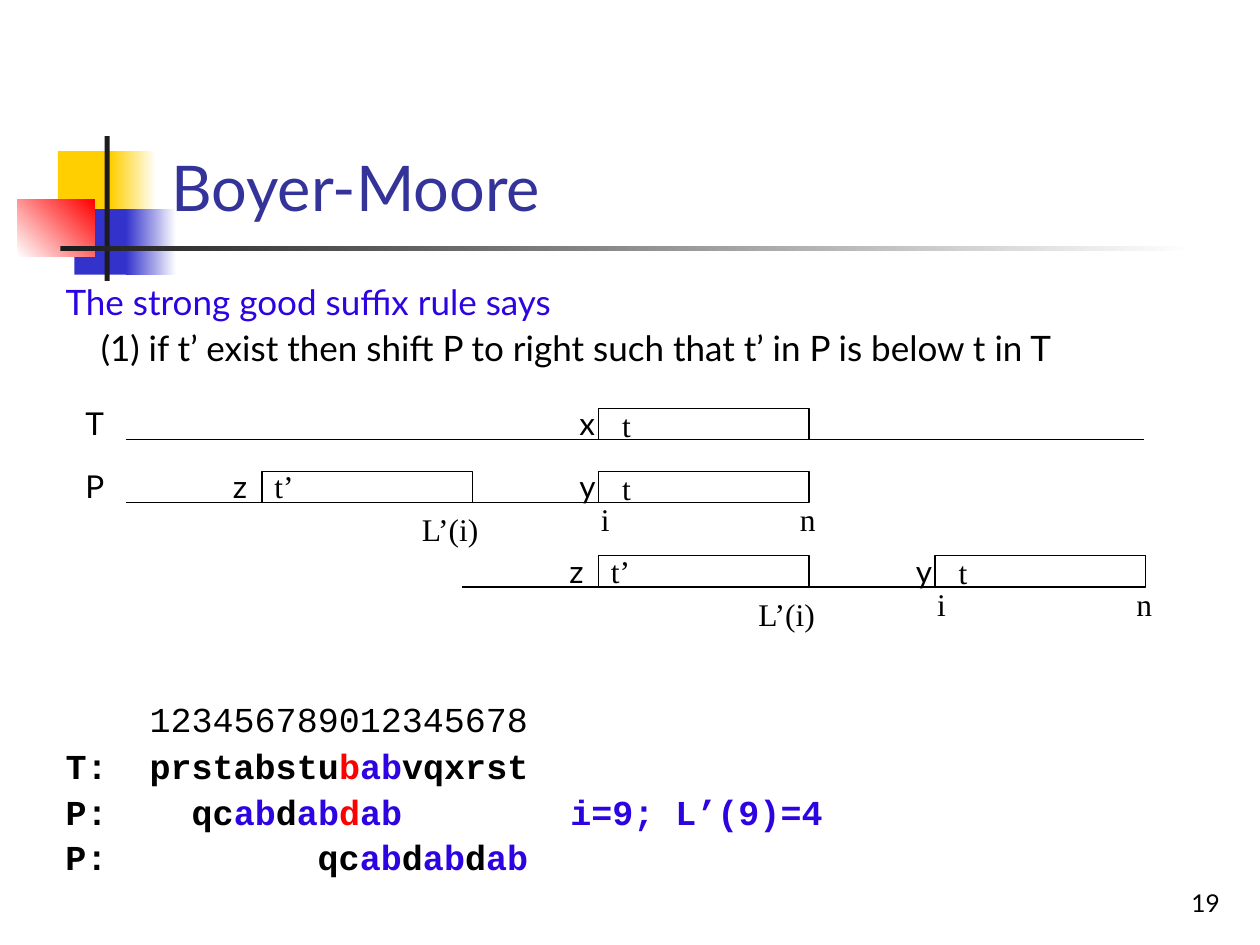
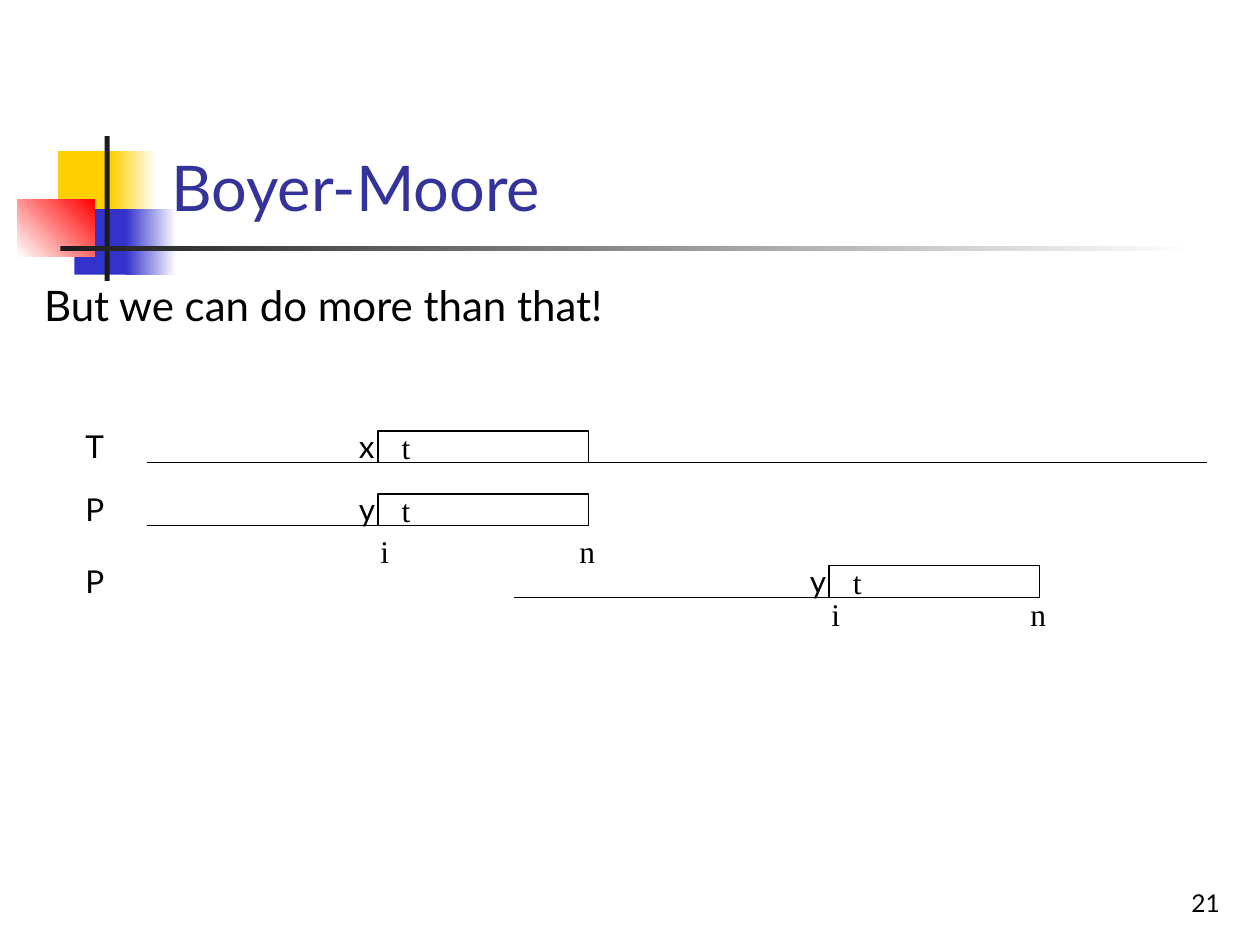
from dataclasses import dataclass, replace

import lxml.etree
import pptx
import pptx.dml.color
import pptx.enum.shapes
import pptx.enum.text
import pptx.oxml.ns
import pptx.presentation
import pptx.shapes.autoshape
import pptx.slide
import pptx.text.text
import pptx.util
from pptx.util import Inches

Color = pptx.dml.color.RGBColor
Alignment = pptx.enum.text.PP_ALIGN
Anchor = pptx.enum.text.MSO_ANCHOR
ShapeKind = pptx.enum.shapes.MSO_SHAPE


@dataclass(frozen=True)
class Theme:
    black: Color = Color(0x00, 0x00, 0x00)
    white: Color = Color(0xFF, 0xFF, 0xFF)
    ink: Color = Color(0x1C, 0x1C, 0x1C)
    yellow: Color = Color(0xFF, 0xCF, 0x01)
    blue: Color = Color(0x33, 0x33, 0xCC)
    red: Color = Color(0xFF, 0x00, 0x00)
    title: Color = Color(0x33, 0x33, 0x99)
    match: Color = Color(0x2D, 0x03, 0xE1)
    sans: str = "Lato"
    serif: str = "Times New Roman"
    mono: str = "Courier New"
    title_size: int = 36
    lead_size: int = 24
    body_size: int = 20
    mark_size: int = 18
    number_size: int = 14


THEME = Theme()
BLOCK_WIDTH = 1.67
BLOCK_HEIGHT = 0.25


@dataclass(frozen=True)
class Band:
    left: float
    top: float
    width: float
    height: float
    start: Color
    end: Color | None = None
    angle: float = 0


@dataclass(frozen=True)
class Mark:
    text: str
    right: float
    down: float
    width: float
    font: str = THEME.serif


@dataclass(frozen=True)
class Block:
    left: float
    marks: tuple[Mark, ...]


@dataclass(frozen=True)
class Row:
    baseline: float
    start: float
    end: float
    blocks: tuple[Block, ...]
    name: str = ""


@dataclass(frozen=True)
class Piece:
    text: str
    color: Color = THEME.black


@dataclass(frozen=True)
class CodeLine:
    pieces: tuple[Piece, ...]
    space_before: float = 5
    bold: bool = True


BANDS = (
    Band(0.46, 1.2, 0.48, 0.52, THEME.yellow),
    Band(0.88, 1.2, 0.36, 0.52, THEME.yellow, THEME.white),
    Band(0.59, 1.66, 0.46, 0.52, THEME.blue),
    Band(1, 1.66, 0.4, 0.52, THEME.blue, THEME.white),
    Band(0.14, 1.58, 0.61, 0.46, THEME.white, THEME.red, 45),
    Band(0.83, 1.08, 0.04, 1.15, THEME.ink),
    Band(0.48, 1.95, 9, 0.04, THEME.ink, THEME.white),
)

X = Mark("x", -0.25, -0.33, 0.33, THEME.sans)
Y = replace(X, text="y")
Z = Mark("z", -0.33, -0.33, 0.31, THEME.sans)
SUFFIX = Mark("t", 0.09, -0.32, 0.27)
COPY = Mark("t’", 0, -0.33, 0.35)
COPY_END = Mark("L’(i)", 1.17, 0.01, 0.67)
FIRST = Mark("i", -0.08, -0.07, 0.27)
LAST = Mark("n", 1.5, -0.07, 0.32)
LOW_INDEXES = (replace(FIRST, down=0), replace(LAST, down=0))

TEXT_MARKS = (X, SUFFIX)
PATTERN_MARKS = (Y, SUFFIX, FIRST, LAST)
COPY_MARKS = (Z, COPY, COPY_END)

STRONG_RULE_ROWS = (
    Row(3.49, 1, 9.08, (Block(4.75, TEXT_MARKS),), "T"),
    Row(3.99, 1, 6.42, (Block(4.75, PATTERN_MARKS), Block(2.08, COPY_MARKS)), "P"),
    Row(4.66, 3.67, 9.08, (Block(7.42, PATTERN_MARKS), Block(4.75, COPY_MARKS))),
)
LARGER_SHIFT_ROWS = (
    Row(3.67, 1.17, 9.58, (Block(3, TEXT_MARKS),), "T"),
    Row(4.17, 1.17, 4.67, (Block(3, (Y, SUFFIX, *LOW_INDEXES)),), "P"),
    Row(4.74, 4.08, 8.25, (Block(6.58, PATTERN_MARKS),), "P"),
)

AB = Piece("ab", THEME.match)
D = Piece("d")
ALIGNMENT_LINES = (
    CodeLine((Piece("    123456789012345678"),), 190.5, False),
    CodeLine((Piece("T:  prstabstu"), Piece("b", THEME.red), AB, Piece("vqxrst"))),
    CodeLine(
        (
            Piece("P:    qc"), AB, D, AB, Piece("d", THEME.red),
            Piece("ab        i=9; L’(9)=4", THEME.match),
        )
    ),
)
SHIFTED_LINE = CodeLine((Piece("P:          qc"), AB, D, AB, D, AB), 0)


def place(shape: pptx.shapes.autoshape.Shape, left: float, top: float,
          width: float, height: float) -> None:
    shape.left, shape.top = Inches(left), Inches(top)
    shape.width, shape.height = Inches(width), Inches(height)


def style(paragraph: pptx.text.text._Paragraph, size: float,
          color: Color = THEME.black, font: str = THEME.sans, bold: bool = False) -> None:
    paragraph.font.name = font
    paragraph.font.size = pptx.util.Pt(size)
    paragraph.font.bold = bold
    paragraph.font.color.rgb = color


def plain_list(paragraph: pptx.text.text._Paragraph, indent: float = 0) -> None:
    properties = paragraph._p.get_or_add_pPr()
    properties.set("marL", str(Inches(indent)))
    properties.set("indent", "0")
    lxml.etree.SubElement(properties, pptx.oxml.ns.qn("a:buNone"))


def write_code(paragraph: pptx.text.text._Paragraph, line: CodeLine) -> None:
    plain_list(paragraph)
    paragraph.space_before = pptx.util.Pt(line.space_before)
    style(paragraph, THEME.body_size, font=THEME.mono, bold=line.bold)
    for piece in line.pieces:
        run = paragraph.add_run()
        run.text = piece.text
        run.font.color.rgb = piece.color


def add_bands(slide: pptx.slide.Slide) -> None:
    layout_tree = slide.slide_layout.shapes.element
    for index, band in enumerate(BANDS):
        shape = slide.shapes.add_shape(ShapeKind.RECTANGLE, 0, 0, 0, 0)
        place(shape, band.left, band.top, band.width, band.height)
        shape.shadow.inherit = False
        shape.line.fill.background()
        if band.end is None:
            shape.fill.solid()
            shape.fill.fore_color.rgb = band.start
        else:
            shape.fill.gradient()
            shape.fill.gradient_angle = band.angle
            for stop, color in zip(shape.fill.gradient_stops, (band.start, band.end)):
                stop.color.rgb = color
        shape.element.nvSpPr.cNvPr.set("id", str(100 + index))
        layout_tree.append(shape.element)


def add_label(slide: pptx.slide.Slide, text: str, left: float, top: float,
              width: float, font: str = THEME.sans) -> None:
    box = slide.shapes.add_textbox(Inches(left), Inches(top), Inches(width), Inches(0.4))
    box.text_frame.word_wrap = False
    paragraph = box.text_frame.paragraphs[0]
    paragraph.text = text
    style(paragraph, THEME.mark_size, font=font)


def add_row(slide: pptx.slide.Slide, row: Row) -> None:
    baseline = Inches(row.baseline)
    line = slide.shapes.add_connector(
        pptx.enum.shapes.MSO_CONNECTOR.STRAIGHT,
        Inches(row.start), baseline, Inches(row.end), baseline,
    )
    line.line.color.rgb = THEME.black
    line.line.width = pptx.util.Pt(0.75)
    lxml.etree.SubElement(line.element.spPr, pptx.oxml.ns.qn("a:effectLst"))
    if row.name:
        add_label(slide, row.name, 0.58, row.baseline - 0.33, 0.42)
    for block in row.blocks:
        shape = slide.shapes.add_shape(ShapeKind.FLOWCHART_PROCESS, 0, 0, 0, 0)
        place(shape, block.left, row.baseline - BLOCK_HEIGHT, BLOCK_WIDTH, BLOCK_HEIGHT)
        shape.shadow.inherit = False
        shape.fill.background()
        shape.line.color.rgb = THEME.black
        shape.line.width = pptx.util.Pt(0.75)
        for mark in block.marks:
            add_label(slide, mark.text, block.left + mark.right,
                      row.baseline + mark.down, mark.width, mark.font)


def add_slide(presentation: pptx.presentation.Presentation, number: int,
              rows: tuple[Row, ...]) -> pptx.slide.Slide:
    slide = presentation.slides.add_slide(presentation.slide_layouts[1])
    title = slide.shapes.title
    place(title, 1.26, 0.23, 8.52, 1.6)
    title.text_frame.vertical_anchor = Anchor.BOTTOM
    paragraph = title.text_frame.paragraphs[0]
    paragraph.text = "Boyer-Moore"
    paragraph.alignment = Alignment.LEFT
    style(paragraph, THEME.title_size, THEME.title)

    box = slide.shapes.add_textbox(Inches(7.7), Inches(6.83), Inches(2.08), Inches(0.5))
    box.text_frame.word_wrap = True
    box.text_frame.vertical_anchor = Anchor.BOTTOM
    paragraph = box.text_frame.paragraphs[0]
    paragraph.text = str(number)
    paragraph.alignment = Alignment.RIGHT
    style(paragraph, THEME.number_size)

    for row in rows:
        add_row(slide, row)
    return slide


def fill_strong_rule(slide: pptx.slide.Slide) -> None:
    body = slide.placeholders[1]
    place(body, 0.42, 2.21, 9.58, 4.54)
    frame = body.text_frame
    frame.auto_size = pptx.enum.text.MSO_AUTO_SIZE.NONE
    heading = frame.paragraphs[0]
    heading.text = "The strong good suffix rule says"
    plain_list(heading)
    heading.space_before = pptx.util.Pt(0)
    style(heading, THEME.body_size, THEME.match)
    case = frame.add_paragraph()
    case.text = "(1) if t’ exist then shift P to right such that t’ in P is below t in T"
    plain_list(case, 0.28)
    case.space_before = pptx.util.Pt(5)
    style(case, THEME.body_size)
    for line in ALIGNMENT_LINES:
        write_code(frame.add_paragraph(), line)
    for paragraph in frame.paragraphs:
        paragraph.line_spacing = 0.9

    box = slide.shapes.add_textbox(Inches(0.42), Inches(6.58), Inches(4.17), Inches(0.44))
    box.text_frame.word_wrap = True
    write_code(box.text_frame.paragraphs[0], SHIFTED_LINE)


def fill_larger_shift(slide: pptx.slide.Slide) -> None:
    body = slide.placeholders[1]
    place(body, 0.25, 2.17, 9.38, 4.83)
    paragraph = body.text_frame.paragraphs[0]
    paragraph.text = "But we can do more than that!"
    plain_list(paragraph)
    paragraph.space_before = pptx.util.Pt(0)
    style(paragraph, THEME.lead_size)


def main() -> None:
    presentation = pptx.Presentation()
    presentation.slide_width = Inches(10)
    presentation.slide_height = Inches(7.5)
    strong_rule = add_slide(presentation, 19, STRONG_RULE_ROWS)
    add_bands(strong_rule)
    fill_strong_rule(strong_rule)
    fill_larger_shift(add_slide(presentation, 21, LARGER_SHIFT_ROWS))
    presentation.save("out.pptx")


if __name__ == "__main__":
    main()
